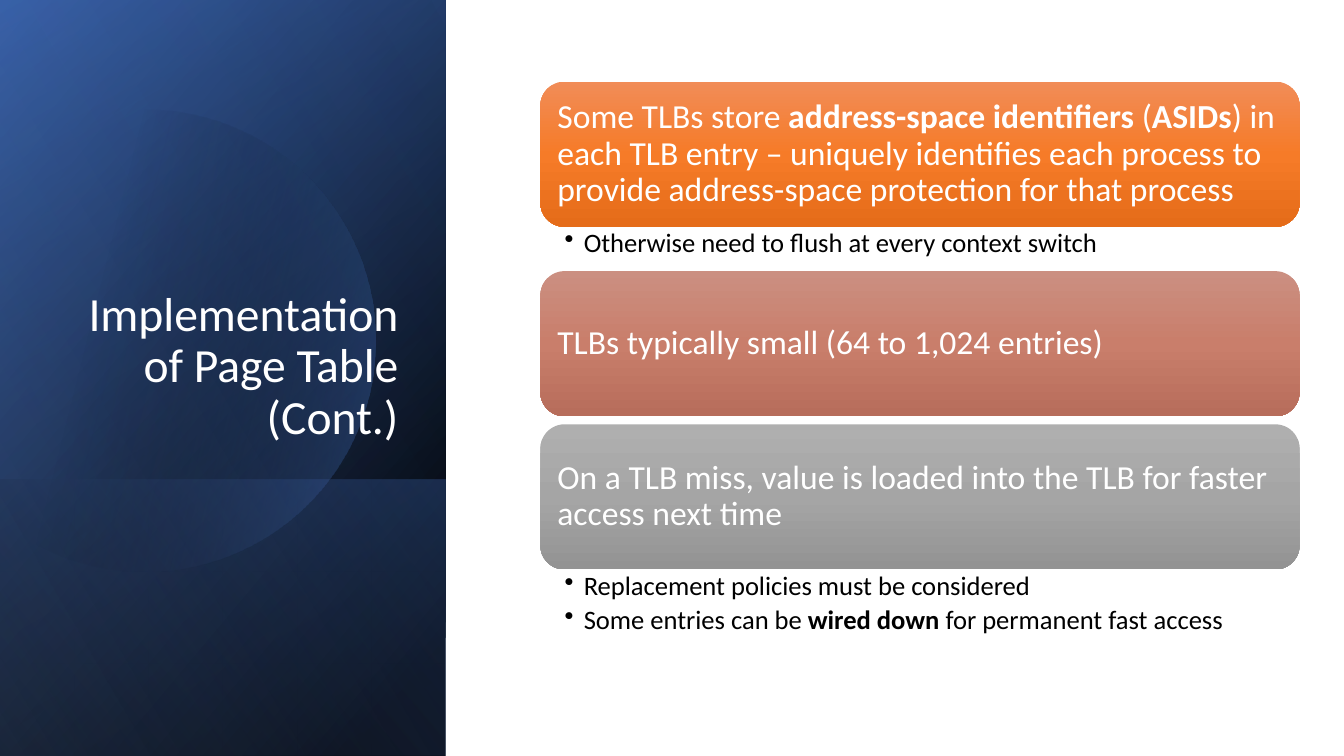
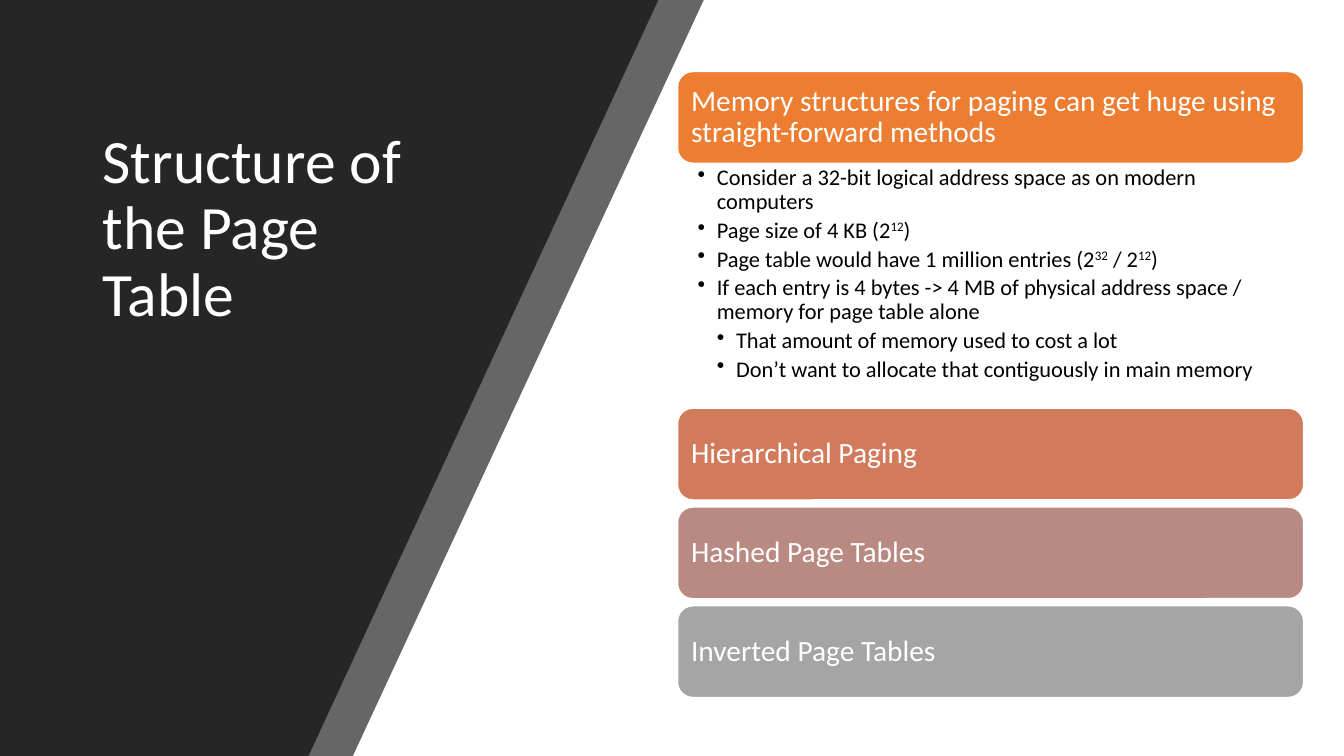
import math

import lxml.etree
import pptx
import pptx.dml.color
import pptx.enum.shapes
import pptx.enum.text
import pptx.oxml.ns
import pptx.util

Inches = pptx.util.Inches
Pt = pptx.util.Pt
qn = pptx.oxml.ns.qn
ANCHOR = pptx.enum.text.MSO_ANCHOR
ALIGN = pptx.enum.text.PP_ALIGN
SHAPE = pptx.enum.shapes.MSO_SHAPE

# Shared style
FONT = "Calibri"
WHITE, BLACK, CHARCOAL = "FFFFFF", "000000", "262626"
SLIDE_WIDTH, SLIDE_HEIGHT = 13.33, 7.5
LINE_SPACING = 0.9
BULLET_INDENT = 0.19
BOLD = {"bold": True}
SUPER = {"baseline": "30000"}

# Slide 1: runs are plain strings or (text, format) pairs; bullets are (level, runs)
TLB_TITLE = "Implementation of Page Table (Cont.)"
TLB_CARDS = [
    {"fill": [(0, "F18C57"), (50, "F67B28"), (100, "E56C19")],
     "runs": ["Some TLBs store", (" address-space identifiers ", BOLD), "(", ("ASIDs", BOLD),
              ") in each TLB entry – uniquely identifies each process to provide "
              "address-space protection for that process"],
     "bullets": [(1, ["Otherwise need to flush at every context switch"])],
     "bullets_height": 0.44},
    {"fill": [(0, "CB8F81"), (50, "C97E6B"), (100, "B76D5B")],
     "runs": ["TLBs typically small (64 to 1,024 entries)"]},
    {"fill": [(0, "AFAFAF"), (50, "A5A5A5"), (100, "939393")],
     "runs": ["On a TLB miss, value is loaded into the TLB for faster access next time"],
     "bullets": [(1, ["Replacement policies must be considered"]),
                 (1, ["Some entries can be", (" wired down ", BOLD),
                      "for permanent fast access"])],
     "bullets_height": 0.72},
]
TLB_STACK = {"left": 5.36, "top": 0.81, "width": 7.53, "card_height": 1.44, "gap": 0.08,
             "card_inset": 0.1, "card_size": 24, "bullet_size": 19,
             "bullet_insets": (0.24, 0.03, 0.19, 0.03), "outline": None}

# Side panel: (top, height, gradient stops as (position, colour, opacity), angle)
PANEL_WIDTH = 4.42
PANEL_UNDER_DISC = [
    (0, 7.5, [(8, "000000"), (100, "2F5597")], 50),
    (0, 7.5, [(0, "000000", 0), (99, "4472C4", 46)], 30),
    (4.76, 2.74, [(2, "4472C4", 29), (100, "000000", 30)], 130),
]
PANEL_OVER_DISC = [(0, 7.5, [(0, "000000", 0), (99, "8FAADC", 11)], 120)]
DISC = {"x": 1.43, "y": 3.38, "radius": 2.29}
DISC_STOPS, DISC_ANGLE = [(29, "000000", 0), (100, "4472C4", 43)], 14

# Slide 2
STRUCTURE_TITLE = "Structure of the Page Table"
STRUCTURE_CARDS = [
    {"fill": "ED7D31",
     "runs": ["Memory structures for paging can get huge using straight-forward methods"],
     "bullets": [
         (1, ["Consider a 32-bit logical address space as on modern computers"]),
         (1, ["Page size of 4 KB (2", ("12", SUPER), ")"]),
         (1, ["Page table would have 1 million entries (2", ("32", SUPER),
              " / 2", ("12", SUPER), ")"]),
         (1, ["If each entry is 4 bytes -> 4 MB of physical address space / "
              "memory for page table alone"]),
         (2, ["That amount of memory used to cost a lot"]),
         (2, ["Don’t want to allocate that contiguously in main memory"])],
     "bullets_height": 2.43},
    {"fill": "D17B5C", "runs": ["Hierarchical Paging"]},
    {"fill": "B98A82", "runs": ["Hashed Page Tables"]},
    {"fill": "A5A5A5", "runs": ["Inverted Page Tables"]},
]
STRUCTURE_STACK = {"left": 6.72, "top": 0.71, "width": 6.21, "card_height": 0.91, "gap": 0.07,
                   "card_inset": 0.09, "card_size": 21, "bullet_size": 16,
                   "bullet_insets": (0.2, 0.03, 0.16, 0.03), "outline": WHITE}
# Slanted panels: (top right, bottom right, opacity)
SLANTS = [(6.98, 3.5, 70), (6.53, 3.06, 100)]


def rgb(color):
    return pptx.dml.color.RGBColor.from_string(color)


def set_opacity(color_element, opacity):
    if opacity < 100:
        alpha = lxml.etree.SubElement(color_element, qn("a:alpha"))
        alpha.set("val", str(opacity * 1000))


def fill_solid(shape, color, opacity=100):
    shape.fill.solid()
    shape.fill.fore_color.rgb = rgb(color)
    set_opacity(next(shape._element.spPr.iter(qn("a:srgbClr"))), opacity)


def fill_gradient(shape, stops, angle):
    shape.fill.gradient()
    gradient = shape._element.spPr.find(qn("a:gradFill"))
    for child in list(gradient):
        gradient.remove(child)
    stop_list = lxml.etree.SubElement(gradient, qn("a:gsLst"))
    for position, color, *opacity in stops:
        stop = lxml.etree.SubElement(stop_list, qn("a:gs"), pos=str(position * 1000))
        color_element = lxml.etree.SubElement(stop, qn("a:srgbClr"), val=color)
        set_opacity(color_element, opacity[0] if opacity else 100)
    lxml.etree.SubElement(gradient, qn("a:lin"), ang=str(angle * 60000), scaled="0")


def add_shape(slide, left, top, width, height, kind=SHAPE.RECTANGLE):
    shape = slide.shapes.add_shape(kind, *map(Inches, (left, top, width, height)))
    shape.shadow.inherit = False
    shape.line.fill.background()
    return shape


def add_polygon(slide, points):
    corners = [(Inches(x), Inches(y)) for x, y in points]
    builder = slide.shapes.build_freeform(*corners[0])
    builder.add_line_segments(corners[1:], close=True)
    shape = builder.convert_to_shape()
    shape.shadow.inherit = False
    shape.line.fill.background()
    return shape


def set_frame(shape, insets, anchor):
    frame = shape.text_frame
    settings = dict(zip(("margin_left", "margin_top", "margin_right", "margin_bottom"),
                        map(Inches, insets)))
    settings.update(word_wrap=True, vertical_anchor=anchor)
    for name, value in settings.items():
        setattr(frame, name, value)
    return frame


def write_runs(paragraph, runs, size, color, align=ALIGN.LEFT):
    paragraph.alignment = align
    paragraph.line_spacing = LINE_SPACING
    for item in runs:
        text, style = (item, {}) if isinstance(item, str) else item
        run = paragraph.add_run()
        run.text = text
        settings = {"name": FONT, "size": Pt(size), "bold": style.get("bold", False)}
        for name, value in settings.items():
            setattr(run.font, name, value)
        run.font.color.rgb = rgb(color)
        if "baseline" in style:
            run._r.get_or_add_rPr().set("baseline", style["baseline"])


def add_title(slide, text, box, size, anchor, align):
    shape = slide.shapes.add_textbox(*map(Inches, box))
    frame = set_frame(shape, (0.1, 0.05, 0.1, 0.05), anchor)
    write_runs(frame.paragraphs[0], [text], size, WHITE, align)


def add_bullets(slide, bullets, box, insets, size):
    shape = slide.shapes.add_textbox(*map(Inches, box))
    frame = set_frame(shape, insets, ANCHOR.TOP)
    for index, (level, runs) in enumerate(bullets):
        paragraph = frame.add_paragraph() if index else frame.paragraphs[0]
        paragraph.level = level
        properties = paragraph._p.get_or_add_pPr()
        properties.set("marL", str(Inches(BULLET_INDENT * level)))
        properties.set("indent", str(-Inches(BULLET_INDENT)))
        lxml.etree.SubElement(properties, qn("a:buChar"), char="•")
        paragraph.space_after = Pt(round(size * 0.2, 1))
        write_runs(paragraph, runs, size, BLACK)


def add_card_stack(slide, cards, stack):
    left, width, height = stack["left"], stack["width"], stack["card_height"]
    top = stack["top"]
    for card in cards:
        shape = add_shape(slide, left, top, width, height, SHAPE.ROUNDED_RECTANGLE)
        if isinstance(card["fill"], str):
            fill_solid(shape, card["fill"])
        else:
            fill_gradient(shape, card["fill"], 90)
        if stack["outline"]:
            shape.line.color.rgb = rgb(stack["outline"])
            shape.line.width = Pt(1)
        frame = set_frame(shape, [stack["card_inset"]] * 4, ANCHOR.MIDDLE)
        write_runs(frame.paragraphs[0], card["runs"], stack["card_size"], WHITE)
        top += height
        # Bullets fill the space to the next card; otherwise leave the gap
        if "bullets" in card:
            box = (left, top, width, card["bullets_height"])
            add_bullets(slide, card["bullets"], box, stack["bullet_insets"],
                        stack["bullet_size"])
            top += card["bullets_height"]
        else:
            top += stack["gap"]


def add_panel_layers(slide, layers):
    # Each layer is turned a quarter, so its own width is the height seen
    for top, height, stops, angle in layers:
        shift = (PANEL_WIDTH - height) / 2
        shape = add_shape(slide, shift, top - shift, height, PANEL_WIDTH)
        shape.rotation = 90
        shape._element.spPr.find(qn("a:xfrm")).set("flipH", "1")
        fill_gradient(shape, stops, angle)


def add_disc(slide):
    # Circle cut off at the left slide edge
    limit = math.acos(-DISC["x"] / DISC["radius"])
    steps = 90
    angles = [limit * (2 * step / steps - 1) for step in range(steps + 1)]
    points = [(DISC["x"] + DISC["radius"] * math.cos(angle),
               DISC["y"] + DISC["radius"] * math.sin(angle)) for angle in angles]
    fill_gradient(add_polygon(slide, points), DISC_STOPS, DISC_ANGLE)


def build_tlb_slide(slide):
    add_panel_layers(slide, PANEL_UNDER_DISC)
    add_disc(slide)
    add_panel_layers(slide, PANEL_OVER_DISC)
    add_title(slide, TLB_TITLE, (0.64, 1.84, 3.41, 2.62), 34, ANCHOR.BOTTOM, ALIGN.RIGHT)
    add_card_stack(slide, TLB_CARDS, TLB_STACK)


def build_structure_slide(slide):
    for top_right, bottom_right, opacity in SLANTS:
        panel = add_polygon(slide, [(0, 0), (top_right, 0), (bottom_right, SLIDE_HEIGHT),
                                    (0, SLIDE_HEIGHT)])
        fill_solid(panel, CHARCOAL, opacity)
    add_title(slide, STRUCTURE_TITLE, (0.92, 0.48, 3.58, 3.6), 44, ANCHOR.MIDDLE, ALIGN.LEFT)
    add_card_stack(slide, STRUCTURE_CARDS, STRUCTURE_STACK)


def main():
    presentation = pptx.Presentation()
    presentation.slide_width = Inches(SLIDE_WIDTH)
    presentation.slide_height = Inches(SLIDE_HEIGHT)
    for build in (build_tlb_slide, build_structure_slide):
        build(presentation.slides.add_slide(presentation.slide_layouts[6]))
    presentation.save("out.pptx")


if __name__ == "__main__":
    main()
